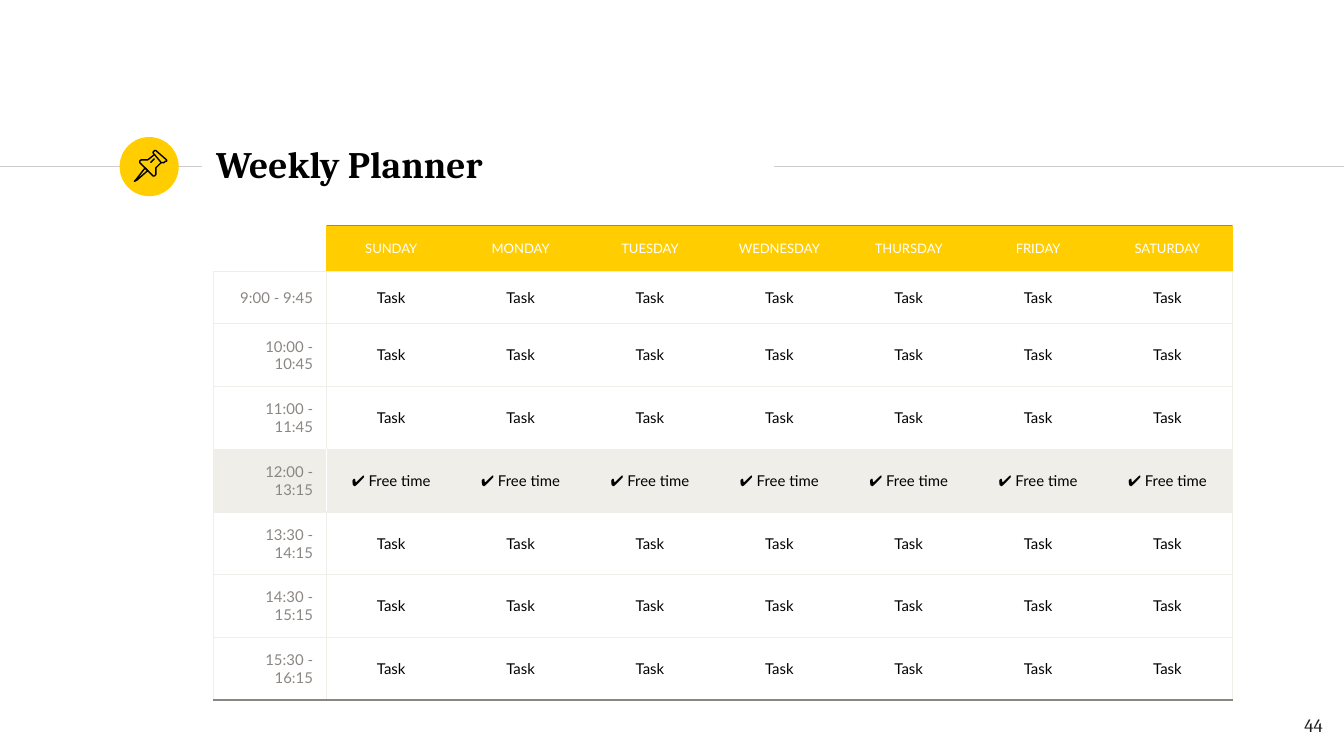
from lxml import etree
from pptx import Presentation
from pptx.dml.color import RGBColor
from pptx.enum.shapes import MSO_CONNECTOR, MSO_SHAPE
from pptx.enum.text import MSO_ANCHOR, PP_ALIGN
from pptx.oxml.ns import qn
from pptx.util import Inches, Pt

STRAIGHT = MSO_CONNECTOR.STRAIGHT
ELLIPSE = MSO_SHAPE.OVAL
MIDDLE, TOP = MSO_ANCHOR.MIDDLE, MSO_ANCHOR.TOP
LEFT, CENTER, RIGHT = PP_ALIGN.LEFT, PP_ALIGN.CENTER, PP_ALIGN.RIGHT

COLORS = {
    "accent": "FFCD00",
    "rule": "CCCCCC",
    "grid": "F0EEE9",
    "edge": "8A8682",
    "black": "000000",
    "number": "1D1D1B",
    "white": "FFFFFF",
}

DAYS = ["SUNDAY", "MONDAY", "TUESDAY", "WEDNESDAY", "THURSDAY", "FRIDAY", "SATURDAY"]
BREAK = "✔ Free time"
SLOTS = {
    "9:00 - 9:45": "Task",
    "10:00 - 10:45": "Task",
    "11:00 - 11:45": "Task",
    "12:00 - 13:15": BREAK,
    "13:30 - 14:15": "Task",
    "14:30 - 15:15": "Task",
    "15:30 - 16:15": "Task",
}

PIN_NEEDLE = [(108, 125), (101, 134), (100, 135), (102, 134), (110, 127)]
PIN_HEAD = [(115, 115), (120, 121), (121, 121), (122, 121), (123, 120.5), (124, 120),
            (124, 119), (116, 112), (115, 112), (114, 113), (114, 114)]
PIN_BODY = [(115, 115), (110, 119), (109, 119), (107, 118.7), (105, 119), (104, 120),
            (104, 121), (114, 131), (115, 131), (116, 130), (116.3, 128), (116, 125),
            (120, 121)]
PIN_SHINE = [(112, 121), (115, 118)]


def rgb(name):
    """Return the named colour."""
    return RGBColor.from_string(COLORS[name])


def style_text(paragraph, text, font, size, color, align, bold=False):
    """Write one paragraph with uniform formatting."""
    paragraph.text = text
    paragraph.alignment = align
    paragraph.font.name = font
    paragraph.font.size = Pt(size)
    paragraph.font.bold = bold
    paragraph.font.color.rgb = rgb(color)


def add_rule(slide, start, end, y):
    """Draw a thin horizontal rule."""
    rule = slide.shapes.add_connector(STRAIGHT, Inches(start), Inches(y), Inches(end), Inches(y))
    rule.line.color.rgb = rgb("rule")
    rule.line.width = Pt(0.75)
    etree.SubElement(rule._element.spPr, qn("a:effectLst"))


def add_badge(slide, left, top, size):
    """Draw the round badge behind the pin."""
    badge = slide.shapes.add_shape(ELLIPSE, Inches(left), Inches(top), Inches(size), Inches(size))
    badge.shadow.inherit = False
    badge.fill.solid()
    badge.fill.fore_color.rgb = rgb("accent")
    badge.line.fill.background()


def add_label(slide, box, anchor, spacing, text, *style):
    """Place a single-paragraph text box."""
    frame = slide.shapes.add_textbox(*map(Inches, box)).text_frame
    frame.word_wrap = True
    frame.vertical_anchor = anchor
    frame.margin_left = frame.margin_right = Inches(0.1)
    frame.margin_top = frame.margin_bottom = Inches(0.1)
    frame.paragraphs[0].line_spacing = spacing
    style_text(frame.paragraphs[0], text, *style)


def add_outline(group, points, closed):
    """Trace an unfilled outline given in hundredths of an inch."""
    builder = group.shapes.build_freeform(*points[0], scale=Inches(0.01))
    builder.add_line_segments(points[1:], close=closed)
    outline = builder.convert_to_shape()
    outline.shadow.inherit = False
    outline.fill.background()
    outline.line.color.rgb = rgb("black")
    outline.line.width = Pt(0.75)


def add_pin(slide):
    """Draw the pushpin icon as one group."""
    pin = slide.shapes.add_group_shape()
    for points, closed in [(PIN_NEEDLE, True), (PIN_HEAD, True),
                           (PIN_BODY, False), (PIN_SHINE, False)]:
        add_outline(pin, points, closed)


def set_borders(cell, borders):
    """Set the left, right, top and bottom borders; None hides one."""
    properties = cell._tc.get_or_add_tcPr()
    for index, (side, color) in enumerate(zip(("lnL", "lnR", "lnT", "lnB"), borders)):
        line = etree.Element(qn(f"a:{side}"), w=str(Pt(0.75)))
        if color:
            fill = etree.SubElement(line, qn("a:solidFill"))
            etree.SubElement(fill, qn("a:srgbClr"), val=COLORS[color])
        else:
            etree.SubElement(line, qn("a:noFill"))
        properties.insert(index, line)


def fill_cell(cell, fill, borders, text="", *style):
    """Set the fill, borders and centred text of a cell."""
    if fill:
        cell.fill.solid()
        cell.fill.fore_color.rgb = rgb(fill)
    else:
        cell.fill.background()
    set_borders(cell, borders)
    cell.vertical_anchor = MIDDLE
    margin = Inches(0.1 if text else 0)
    cell.margin_left = cell.margin_right = margin
    cell.margin_top = cell.margin_bottom = margin
    if text:
        style_text(cell.text_frame.paragraphs[0], text, "Lato", *style)


def add_planner(slide):
    """Build the weekly timetable."""
    days_width = 6.74
    widths = [0.84] + [days_width / len(DAYS)] * len(DAYS)
    heights = [0.34, 0.39] + [0.46] * (len(SLOTS) - 1)
    frame = slide.shapes.add_table(len(heights), len(widths), Inches(1.59), Inches(1.68),
                                   Inches(sum(widths)), Inches(sum(heights)))
    planner = frame.table
    planner.first_row = planner.horz_banding = False
    for column, width in zip(planner.columns, widths):
        column.width = Inches(width)
    for row, height in zip(planner.rows, heights):
        row.height = Inches(height)

    fill_cell(planner.cell(0, 0), None, (None, "accent", None, "grid"))
    last = len(DAYS)
    for column, day in enumerate(DAYS, 1):
        borders = ("accent" if column == 1 else None, "accent" if column == last else None,
                   "edge", "grid")
        fill_cell(planner.cell(0, column), "accent", borders, day, 7, "white", CENTER)

    for row, (time, activity) in enumerate(SLOTS.items(), 1):
        fill, divider = ("grid", "white") if activity == BREAK else (None, "grid")
        bottom = "edge" if row == len(SLOTS) else "grid"
        fill_cell(planner.cell(row, 0), fill, ("grid", divider, "grid", bottom),
                  time, 8, "edge", RIGHT)
        for column in range(1, last + 1):
            borders = (divider if column == 1 else None, "grid" if column == last else None,
                       "grid", bottom)
            fill_cell(planner.cell(row, column), fill, borders, activity, 8, "black", CENTER)


def main():
    """Build and save the slide."""
    presentation = Presentation()
    presentation.slide_width = Inches(10)
    presentation.slide_height = Inches(10 * 9 / 16)
    slide = presentation.slides.add_slide(presentation.slide_layouts[6])
    add_rule(slide, 0, 1.5, 1.24)
    add_badge(slide, 0.89, 1.02, 0.44)
    add_rule(slide, 5.76, 10, 1.24)
    add_label(slide, (1.51, 0.98, 4.24, 0.48), MIDDLE, 1,
              "Weekly Planner", "Cambria", 20, "black", LEFT, True)
    add_label(slide, (9.34, 5.19, 0.6, 0.43), TOP, 1.15,
              "44", "Cambria", 10, "number", RIGHT)
    add_planner(slide)
    add_pin(slide)
    presentation.save("out.pptx")


if __name__ == "__main__":
    main()
